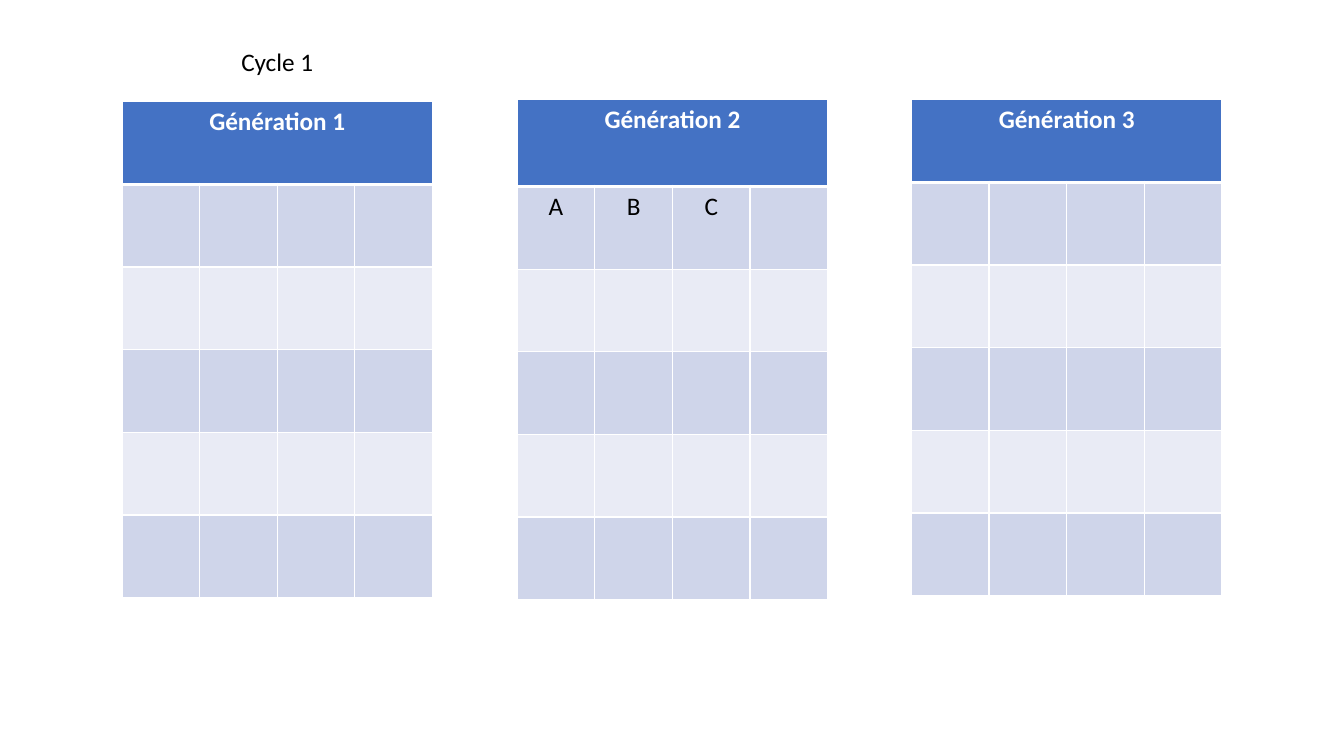
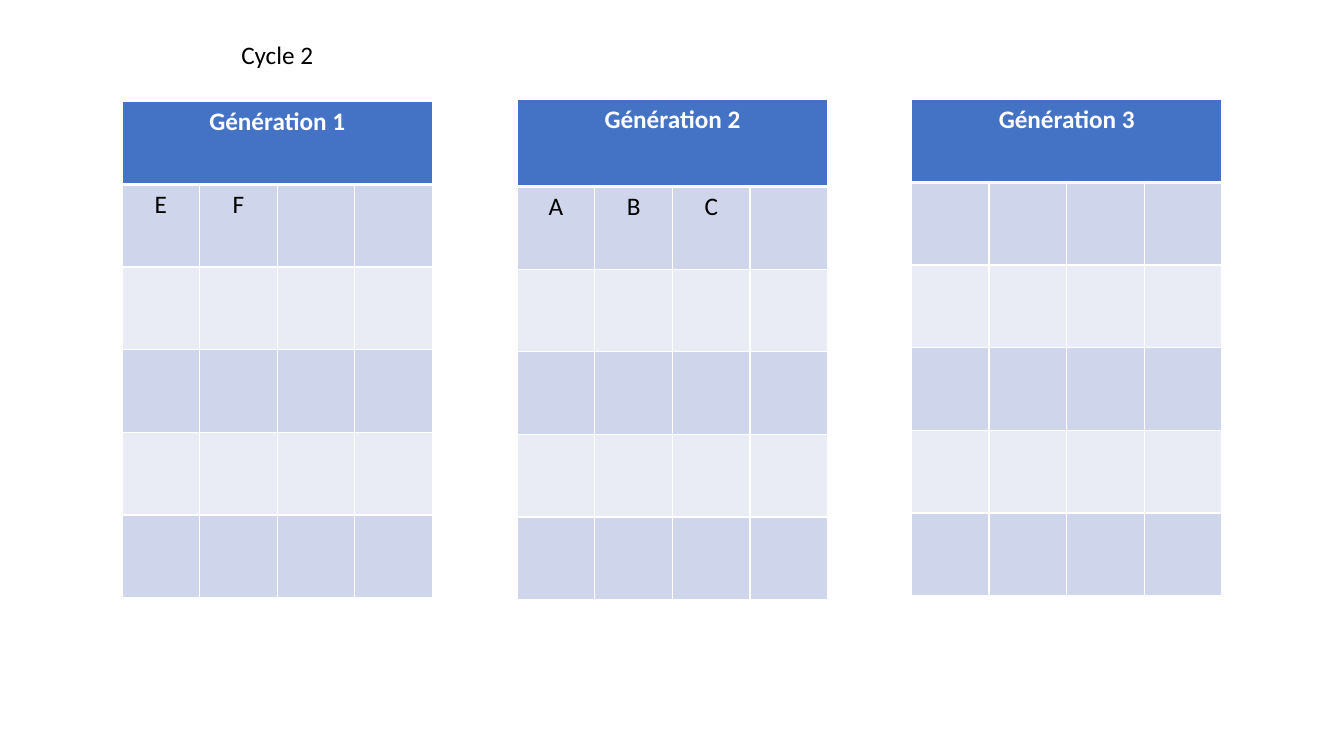
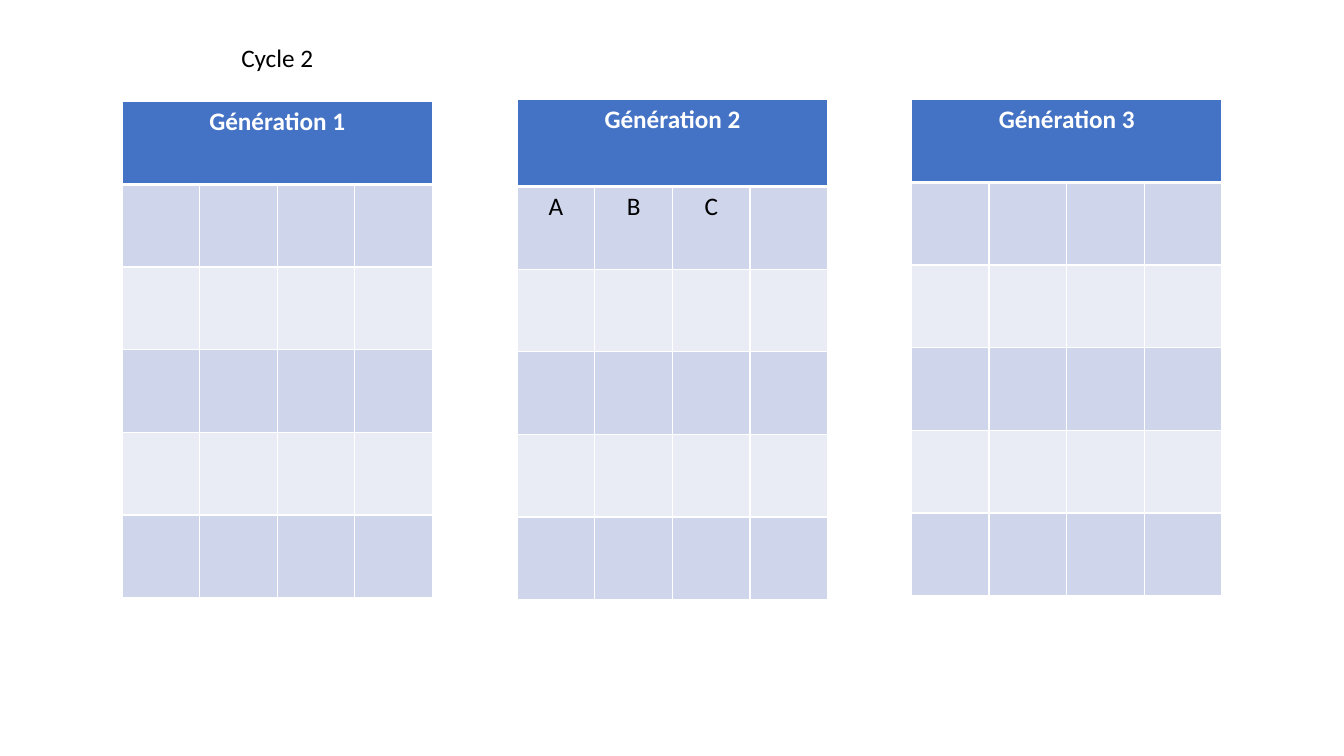
from dataclasses import dataclass
from lxml.etree import SubElement
from pptx import Presentation
from pptx.dml.color import RGBColor
from pptx.enum.text import MSO_AUTO_SIZE, PP_ALIGN
from pptx.oxml.ns import qn
from pptx.util import Pt

SCALE = 9144


def px(length):
    return length * SCALE


@dataclass(frozen=True)
class Theme:
    font: str = "Calibri"
    size: int = 18
    ink: str = "000000"
    white: str = "FFFFFF"
    header: str = "4472C4"
    bands: tuple = ("CFD5EA", "E9EBF5")
    thin: int = 1
    thick: int = 3


class Board:
    columns = 4
    body_rows = 5
    cell_width = 77
    row_height = 82
    first_left = 121
    last_left = 904
    tables = 3

    def __init__(self, theme):
        self.theme = theme
        self.deck = Presentation()
        self.deck.slide_width = px(1333)
        self.deck.slide_height = px(750)
        self.page = None

    def add_page(self):
        self.page = self.deck.slides.add_slide(self.deck.slide_layouts[6])

    def add_text(self, frame, text, color, bold=False):
        para = frame.paragraphs[0]
        para.alignment = PP_ALIGN.CENTER
        span = para.add_run()
        span.text = text
        span.font.name = self.theme.font
        span.font.size = Pt(self.theme.size)
        span.font.bold = bold
        span.font.color.rgb = RGBColor.from_string(color)

    def add_label(self, text, top):
        width = self.columns * self.cell_width
        box = self.page.shapes.add_textbox(px(self.first_left), px(top), px(width), px(40))
        box.text_frame.word_wrap = True
        box.text_frame.auto_size = MSO_AUTO_SIZE.SHAPE_TO_FIT_TEXT
        self.add_text(box.text_frame, text, self.theme.ink)

    def style_cell(self, cell, row):
        theme = self.theme
        widths = {
            "a:lnL": theme.thin,
            "a:lnR": theme.thin,
            "a:lnT": theme.thick if row == 1 else theme.thin,
            "a:lnB": theme.thick if row == 0 else theme.thin,
        }
        properties = cell._tc.get_or_add_tcPr()
        for tag, width in widths.items():
            line = SubElement(properties, qn(tag), w=str(Pt(width)))
            fill = SubElement(line, qn("a:solidFill"))
            SubElement(fill, qn("a:srgbClr"), val=theme.white)
        color = theme.bands[(row - 1) % 2] if row else theme.header
        cell.fill.solid()
        cell.fill.fore_color.rgb = RGBColor.from_string(color)

    def add_generation(self, index, top, header_height, letters):
        spread = self.last_left - self.first_left
        steps = self.tables - 1
        left = self.first_left + (spread * index + steps - 1) // steps
        heights = [header_height] + [self.row_height] * self.body_rows
        table = self.page.shapes.add_table(
            len(heights), self.columns, px(left), px(top),
            px(self.columns * self.cell_width), px(sum(heights)),
        ).table
        for column in table.columns:
            column.width = px(self.cell_width)
        for row, height in enumerate(heights):
            table.rows[row].height = px(height)
            for column in range(self.columns):
                self.style_cell(table.cell(row, column), row)
        title = table.cell(0, 0)
        title.merge(table.cell(0, self.columns - 1))
        self.add_text(title.text_frame, f"Génération {index + 1}", self.theme.white, True)
        for column, letter in enumerate(letters):
            self.add_text(table.cell(1, column).text_frame, letter, self.theme.ink)


def main():
    cycles = [
        ("Cycle 1", 41, ("", "ABC", "")),
        ("Cycle 2", 34, ("EF", "ABC", "")),
        ("Cycle 2", 37, ("", "ABC", "")),
    ]
    placements = [(101, 82), (99, 86), (99, 82)]
    board = Board(Theme())
    for label, label_top, generations in cycles:
        board.add_page()
        for index, (top, header_height) in enumerate(placements):
            board.add_generation(index, top, header_height, generations[index])
        board.add_label(label, label_top)
    board.deck.save("out.pptx")


if __name__ == "__main__":
    main()
